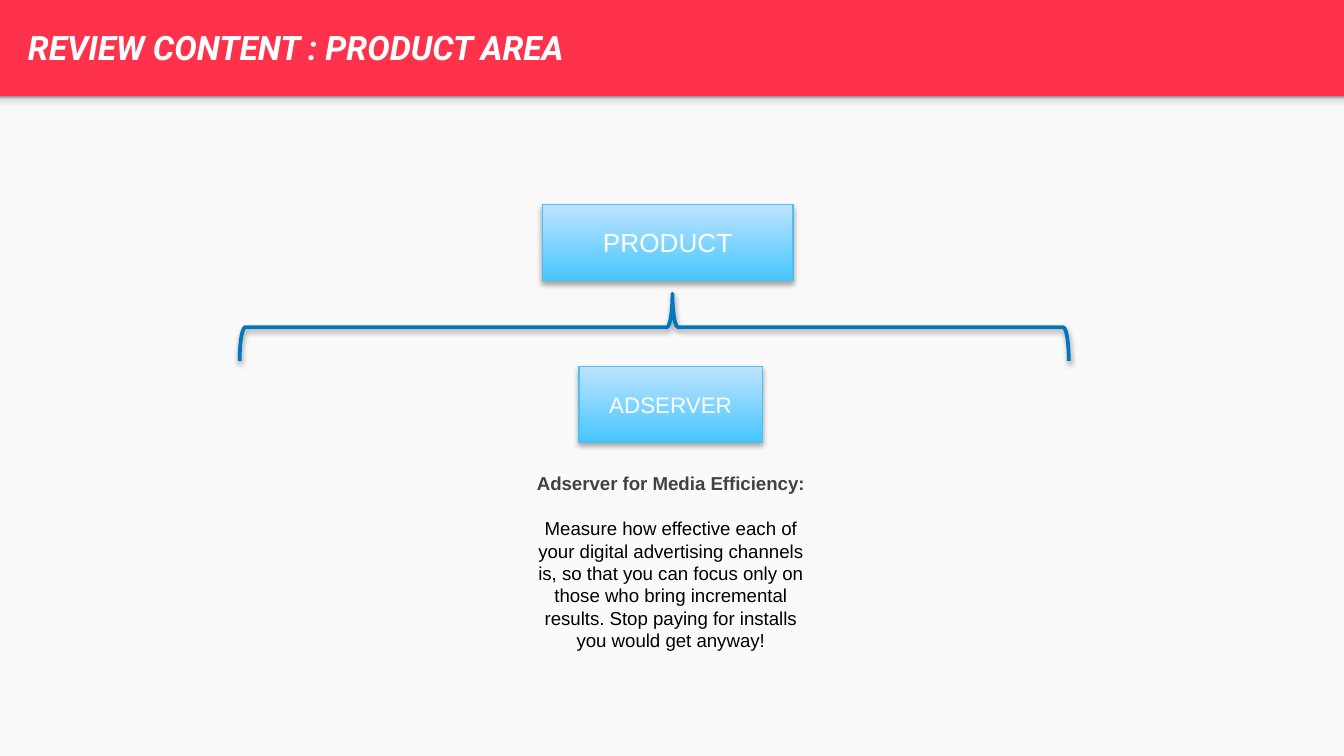
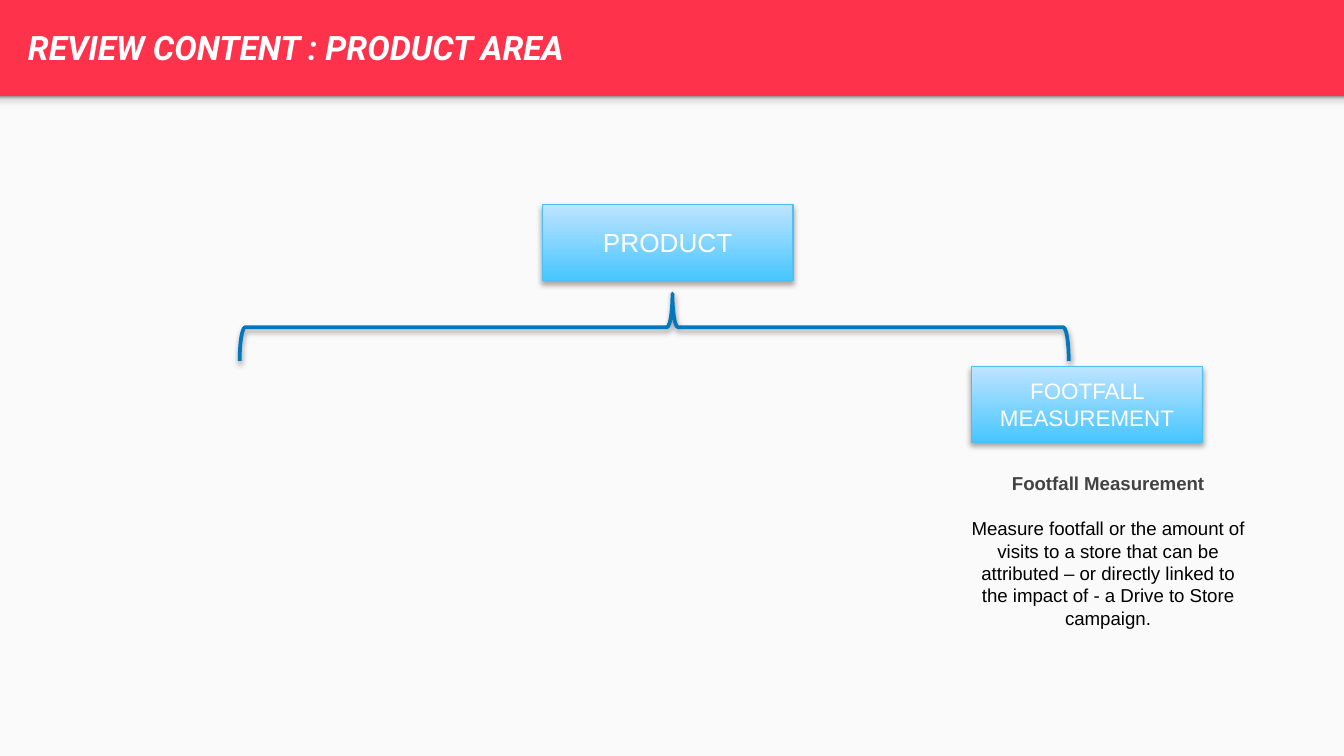
from lxml import etree
from pptx import Presentation
from pptx.dml.color import RGBColor
from pptx.enum import shapes, text
from pptx.oxml import ns
from pptx.util import Cm, Pt

RED = RGBColor(0xFF, 0x32, 0x4B)
PAPER = RGBColor(0xFA, 0xFA, 0xFA)
WHITE = RGBColor(0xFF, 0xFF, 0xFF)
BLACK = RGBColor(0x00, 0x00, 0x00)
GREY = RGBColor(0x42, 0x42, 0x42)
EDGE = RGBColor(0x49, 0xC0, 0xF6)
NAVY = RGBColor(0x02, 0x77, 0xBD)
SKY = [(0, RGBColor(0x47, 0xC6, 0xFF)), (100, RGBColor(0xBE, 0xE4, 0xFF))]
SHADE = [(0, RGBColor(0xF9, 0xF9, 0xF9)), (36, RGBColor(0xF9, 0xF9, 0xF9)),
         (80, RGBColor(0xDE, 0xDE, 0xDE)), (100, RGBColor(0x99, 0x99, 0x99))]

WIDE, HIGH = 25.4, 14.29
BAND = 1.82
TAG_H = 1.43
HEAD = "REVIEW CONTENT : PRODUCT AREA"


def node(parent, tag, **attrs):
    return etree.SubElement(parent, ns.qn(tag), attrs)


def place(box):
    return [Cm(side) for side in box]


def shape(slide, kind, box):
    item = slide.shapes.add_shape(kind, *place(box))
    item.shadow.inherit = False
    item.line.fill.background()
    return item


def blend(item, stops):
    """Fill with a gradient that runs from bottom to top."""
    item.fill.gradient()
    item.fill.gradient_angle = 90
    steps = item.element.spPr.find(".//" + ns.qn("a:gsLst"))
    for old in list(steps):
        steps.remove(old)
    for pos, color in stops:
        stop = node(steps, "a:gs", pos=str(pos * 1000))
        node(stop, "a:srgbClr", val=str(color))


def shadow(item, alpha, drop):
    effects = item.element.spPr.find(ns.qn("a:effectLst"))
    cast = node(effects, "a:outerShdw", blurRad=str(Pt(3.1)),
                dist=str(Pt(drop)), dir="5400000", rotWithShape="0")
    color = node(cast, "a:srgbClr", val=str(BLACK))
    node(color, "a:alpha", val=str(alpha * 1000))


def write(para, words, size, color, font="Arial", bold=False, slant=False):
    run = para.add_run()
    run.text = words
    run.font.name, run.font.size = font, Pt(size)
    run.font.bold, run.font.italic = bold, slant
    run.font.color.rgb = color


def frame(slide):
    """Draw the red band, the title and the pale page below them."""
    slide.background.fill.solid()
    slide.background.fill.fore_color.rgb = RED
    rect = shapes.MSO_SHAPE.RECTANGLE
    page = shape(slide, rect, (0, BAND, WIDE, HIGH - BAND))
    page.fill.solid()
    page.fill.fore_color.rgb = PAPER
    blend(shape(slide, rect, (0, BAND, WIDE, 0.3)), SHADE)

    title = slide.shapes.add_textbox(*place((0.28, 0.05, 24.51, 1.68)))
    body = title.text_frame
    body.word_wrap = True
    body.vertical_anchor = text.MSO_ANCHOR.MIDDLE
    write(body.paragraphs[0], HEAD, 18, WHITE, "Roboto", True, True)


def tag(slide, box, words, size):
    item = shape(slide, shapes.MSO_SHAPE.RECTANGLE, box)
    blend(item, SKY)
    item.line.color.rgb = EDGE
    item.line.width = Pt(0.75)
    shadow(item, 35, 1.8)
    body = item.text_frame
    body.word_wrap = True
    body.vertical_anchor = text.MSO_ANCHOR.MIDDLE
    para = body.paragraphs[0]
    para.alignment = text.PP_ALIGN.CENTER
    write(para, words, size, WHITE)


def brace(slide, box):
    """Fit a right brace, turned to point up, into the box."""
    x, y, w, h = box
    item = shape(slide, shapes.MSO_SHAPE.RIGHT_BRACE,
                 (x + (w - h) / 2, y + (h - w) / 2, h, w))
    item.rotation = 270
    item.adjustments[0], item.adjustments[1] = 0.083, 0.522
    item.fill.background()
    item.line.color.rgb = NAVY
    item.line.width = Pt(2)
    shadow(item, 38, 1.6)


def note(slide, box, head, words):
    item = slide.shapes.add_textbox(*place(box))
    body = item.text_frame
    body.word_wrap = True
    body.auto_size = text.MSO_AUTO_SIZE.SHAPE_TO_FIT_TEXT
    top, main = body.paragraphs[0], body.add_paragraph()
    top.alignment = main.alignment = text.PP_ALIGN.CENTER
    main.space_before = Pt(12)
    write(top, head, 10, GREY, bold=True)
    write(main, words, 10, BLACK)


def tree(slide, box):
    """Draw the root tag and the brace below it."""
    x, y, w, h = box
    tag(slide, (x + 5.72, y, 4.74, TAG_H), "PRODUCT", 14)
    brace(slide, (x, y + 1.68, w, h - 1.68))


def branch(slide, box, name, width, shift, head, words):
    """Draw a tag, and its note shifted sideways below it."""
    x, y, w, h = box
    tag(slide, (x, y, width, TAG_H), name, 12)
    note(slide, (x + shift, y + 1.87, w, h - 1.87), head, words)


BRANCHES = [
    ((10.94, 6.93, 5.89, 5.55), "ADSERVER", 3.47, -1.21,
     "Adserver for Media Efficiency:",
     "Measure how effective each of your digital advertising channels is, "
     "so that you can focus only on those who bring incremental results. "
     "Stop paying for installs you would get anyway!"),
    ((18.36, 6.93, 5.66, 5.98), "FOOTFALL MEASUREMENT", 4.37, -0.25,
     "Footfall Measurement",
     "Measure footfall or the amount of visits to a store that can be "
     "attributed – or directly linked to the impact of - a Drive to Store "
     "campaign."),
]


def main():
    deck = Presentation()
    deck.slide_width, deck.slide_height = Cm(WIDE), Cm(HIGH)
    for parts in BRANCHES:
        slide = deck.slides.add_slide(deck.slide_layouts[6])
        frame(slide)
        tree(slide, (4.53, 3.87, 15.67, 2.95))
        branch(slide, *parts)
    deck.save("out.pptx")


if __name__ == "__main__":
    main()
